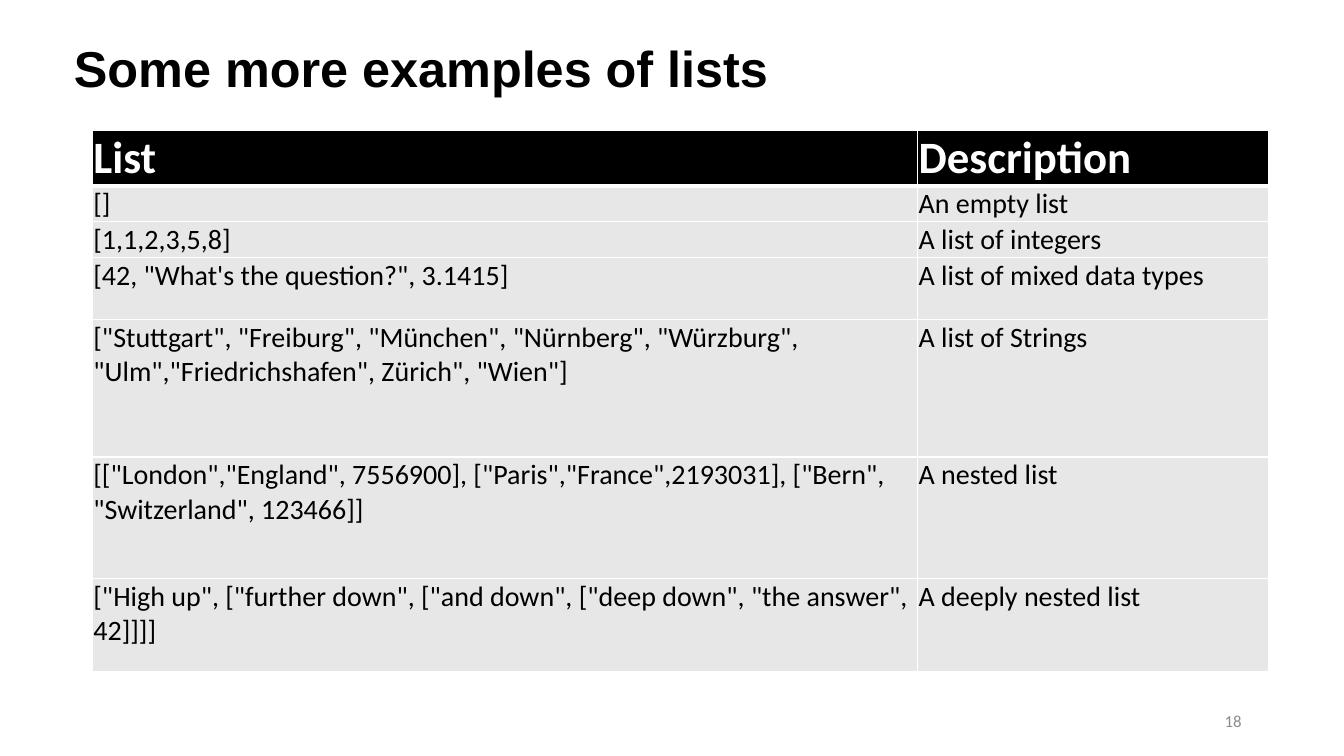
from lxml import etree
from pptx import Presentation
from pptx.dml.color import RGBColor
from pptx.enum.text import MSO_ANCHOR, PP_ALIGN
from pptx.oxml.ns import qn
from pptx.util import Pt

PX = 9525  # EMU per px, 96 px to the inch
MIDDLE = MSO_ANCHOR.MIDDLE
LEFT, RIGHT = PP_ALIGN.LEFT, PP_ALIGN.RIGHT
COLORS = {"black": "000000", "white": "FFFFFF", "row": "E7E7E7", "page": "8C8C8C"}


def write(frame, text, size, color, font="Calibri", bold=False, align=LEFT):
    frame.word_wrap = True
    paragraph = frame.paragraphs[0]
    paragraph.alignment = align
    run = paragraph.add_run()
    run.text = text
    run.font.size = Pt(size)
    run.font.name = font
    run.font.bold = bold
    run.font.color.rgb = RGBColor.from_string(COLORS[color])
    return paragraph


def add_borders(cell, widths):
    properties = cell._tc.get_or_add_tcPr()
    for position, (side, width) in enumerate(widths.items()):
        line = etree.Element(qn("a:ln" + side), w=str(Pt(width)))
        fill = etree.SubElement(line, qn("a:solidFill"))
        etree.SubElement(fill, qn("a:srgbClr"), val=COLORS["white"])
        properties.insert(position, line)


prs = Presentation()
prs.slide_width, prs.slide_height = 1280 * PX, 720 * PX
slide = prs.slides.add_slide(prs.slide_layouts[6])

# Title
title = slide.shapes.add_textbox(61 * PX, 12 * PX, 1104 * PX, 111 * PX).text_frame
title.vertical_anchor = MIDDLE
heading = write(title, "Some more examples of lists", 36, "black", "Arial", True)
heading.line_spacing = 0.9

# Table of list examples: row height, list, description
EXAMPLES = [
    (53, "List", "Description"),
    (34, "[]", "An empty list"),
    (34, "[1,1,2,3,5,8]", "A list of integers"),
    (59, '[42, "What\'s the question?", 3.1415]', "A list of mixed data types"),
    (131, '["Stuttgart", "Freiburg", "München", "Nürnberg", "Würzburg", '
          '"Ulm","Friedrichshafen", Zürich", "Wien"]', "A list of Strings"),
    (116, '[["London","England", 7556900], ["Paris","France",2193031], '
          '["Bern", "Switzerland", 123466]]', "A nested list"),
    (88, '["High up", ["further down", ["and down", ["deep down", '
         '"the answer", 42]]]]', "A deeply nested list"),
]
COLUMN_WIDTHS = [786, 334]
table_height = sum(height for height, *_ in EXAMPLES)
examples = slide.shapes.add_table(
    len(EXAMPLES), len(COLUMN_WIDTHS),
    88 * PX, 124 * PX, sum(COLUMN_WIDTHS) * PX, table_height * PX).table
for column, width in zip(examples.columns, COLUMN_WIDTHS):
    column.width = width * PX

for row, (height, *texts) in enumerate(EXAMPLES):
    examples.rows[row].height = height * PX
    header = row == 0
    for column, text in enumerate(texts):
        cell = examples.cell(row, column)
        cell.margin_left = cell.margin_right = PX
        cell.margin_top = cell.margin_bottom = PX
        cell.fill.solid()
        cell.fill.fore_color.rgb = RGBColor.from_string(
            COLORS["black" if header else "row"])
        add_borders(cell, {"L": 1, "R": 1, "T": 3 if row == 1 else 1,
                           "B": 3 if header else 1})
        write(cell.text_frame, text, 32 if header else 20,
              "white" if header else "black", bold=header)

# Page number
page = slide.shapes.add_textbox(904 * PX, 667 * PX, 288 * PX, 38 * PX).text_frame
page.vertical_anchor = MIDDLE
write(page, "18", 12, "page", align=RIGHT)

prs.save("out.pptx")
